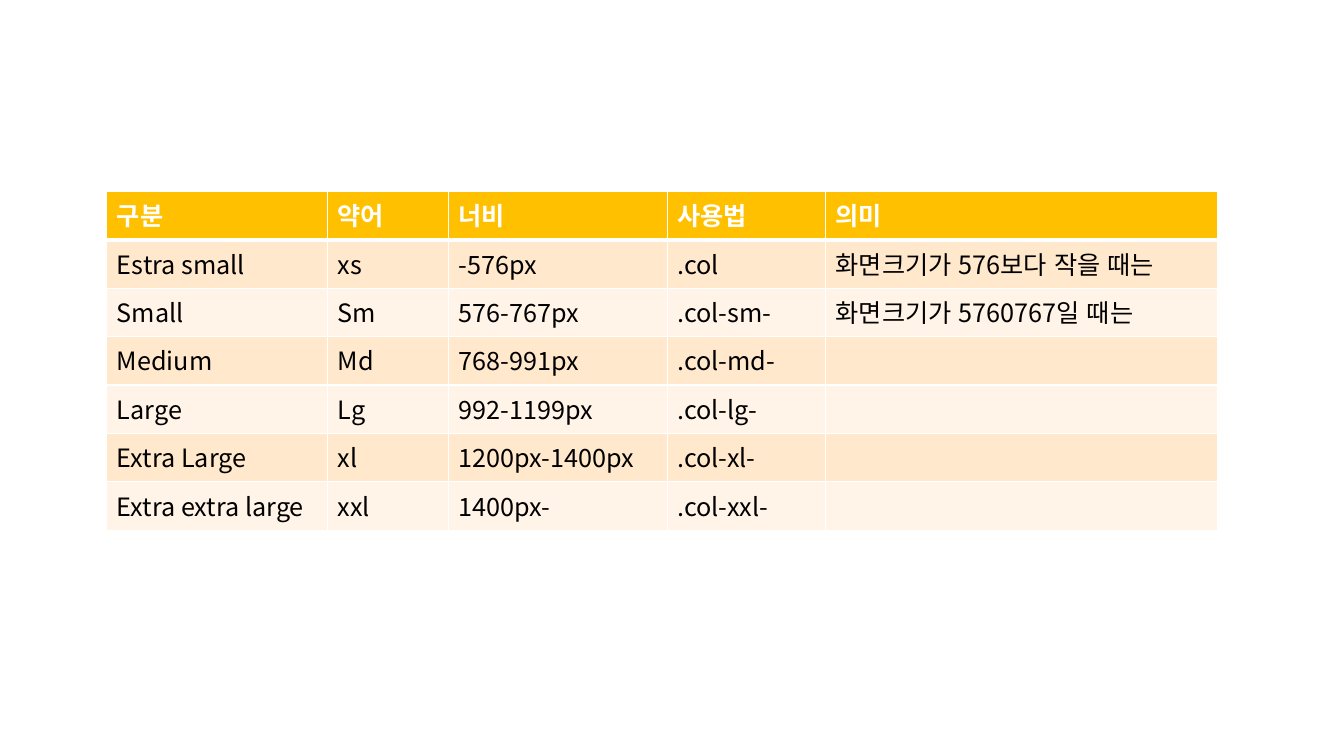
from dataclasses import dataclass

from lxml.etree import SubElement as Sub
from pptx import Presentation
from pptx.dml.color import RGBColor
from pptx.enum.lang import MSO_LANGUAGE_ID as Lang
from pptx.oxml.ns import qn
from pptx.table import _Cell as Cell
from pptx.util import Inches, Pt

FONT = "Noto Sans CJK KR"
WHITE, BLACK, GOLD = "FFFFFF", "000000", "FFC000"
BANDS = ("FFE8CC", "FFF4E7")
WIDE, HIGH = 13.33, 7.5
LEFT, TOP = 1.06, 1.9
COLS = (2.19, 1.2, 2.17, 1.57, 3.89)
ROW = 0.48


@dataclass(frozen=True)
class Size:
    name: str
    short: str
    width: str
    usage: str
    sense: str = ""

    def texts(self) -> tuple[str, ...]:
        return self.name, self.short, self.width, self.usage, self.sense


HEAD = Size("구분", "약어", "너비", "사용법", "의미")
SIZES = (
    Size("Estra small", "xs", "-576px", ".col", "화면크기가 576보다 작을 때는"),
    Size("Small", "Sm", "576-767px", ".col-sm-", "화면크기가 5760767일 때는"),
    Size("Medium", "Md", "768-991px", ".col-md-"),
    Size("Large", "Lg", "992-1199px", ".col-lg-"),
    Size("Extra Large", "xl", "1200px-1400px", ".col-xl-"),
    Size("Extra extra large", "xxl", "1400px-", ".col-xxl-"),
)


def color(code: str) -> RGBColor:
    return RGBColor.from_string(code)


def write(cell: Cell, text: str, *, ink: str = BLACK, bold: bool = False,
          size: float = 18) -> None:
    run = cell.text_frame.paragraphs[0].add_run()
    run.text = text
    font = run.font
    font.name, font.size, font.bold = FONT, Pt(size), bold
    font.color.rgb = color(ink)
    font.language_id = Lang.KOREAN
    Sub(font._element, qn("a:ea"), typeface=FONT)


def edge(cell: Cell, top: float, base: float) -> None:
    """Draw white borders; top and base are line widths in points."""
    props = cell._tc.get_or_add_tcPr()
    for side, width in (("L", 1), ("R", 1), ("T", top), ("B", base)):
        line = Sub(props, qn(f"a:ln{side}"), w=str(Pt(width)))
        Sub(Sub(line, qn("a:solidFill")), qn("a:srgbClr"), val=WHITE)


def main() -> None:
    deck = Presentation()
    deck.slide_width, deck.slide_height = Inches(WIDE), Inches(HIGH)
    slide = deck.slides.add_slide(deck.slide_layouts[6])
    rows = (HEAD, *SIZES)
    table = slide.shapes.add_table(
        len(rows), len(COLS), Inches(LEFT), Inches(TOP),
        Inches(sum(COLS)), Inches(ROW * len(rows))).table
    for col, width in zip(table.columns, COLS):
        col.width = Inches(width)
    for r, size in enumerate(rows):
        table.rows[r].height = Inches(ROW)
        head = r == 0
        for c, text in enumerate(size.texts()):
            cell = table.cell(r, c)
            edge(cell, top=3 if r == 1 else 1, base=3 if head else 1)
            cell.fill.solid()
            cell.fill.fore_color.rgb = color(GOLD if head else BANDS[(r - 1) % 2])
            if text:
                write(cell, text, ink=WHITE if head else BLACK, bold=head)
    deck.save("out.pptx")


if __name__ == "__main__":
    main()
